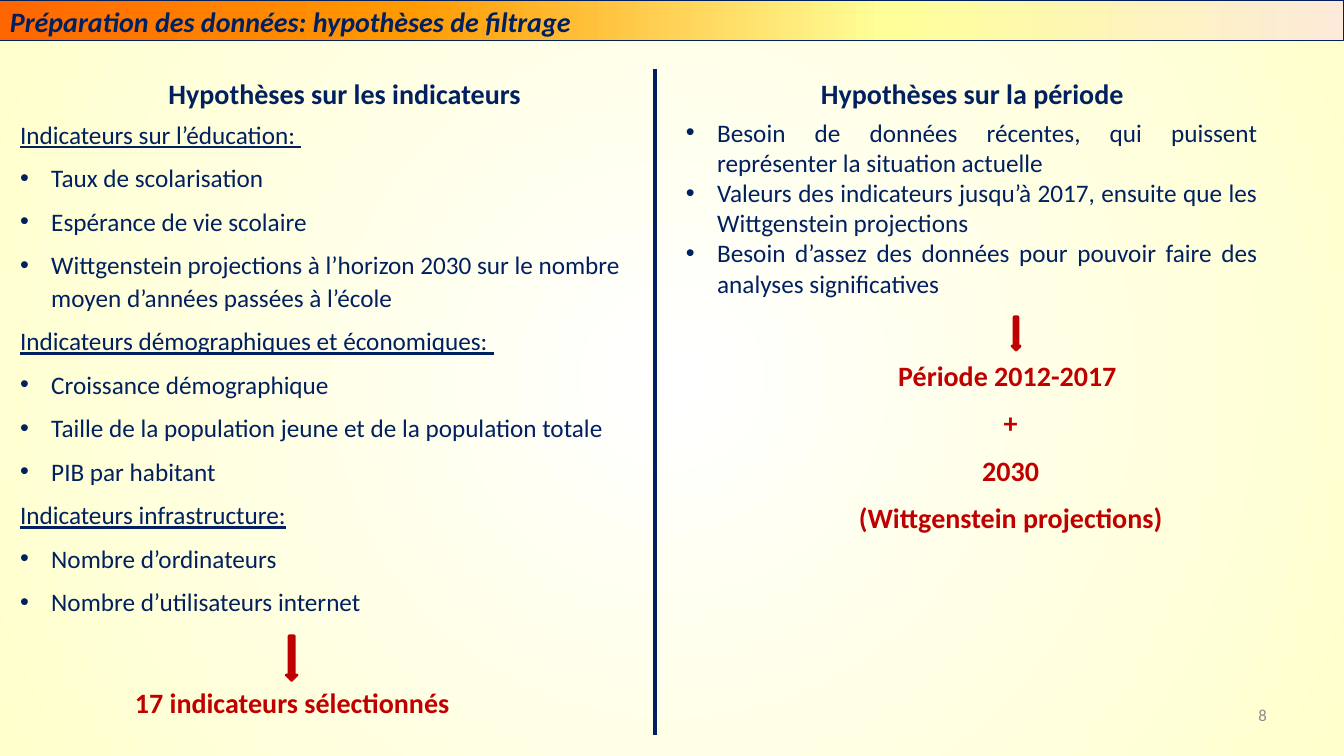
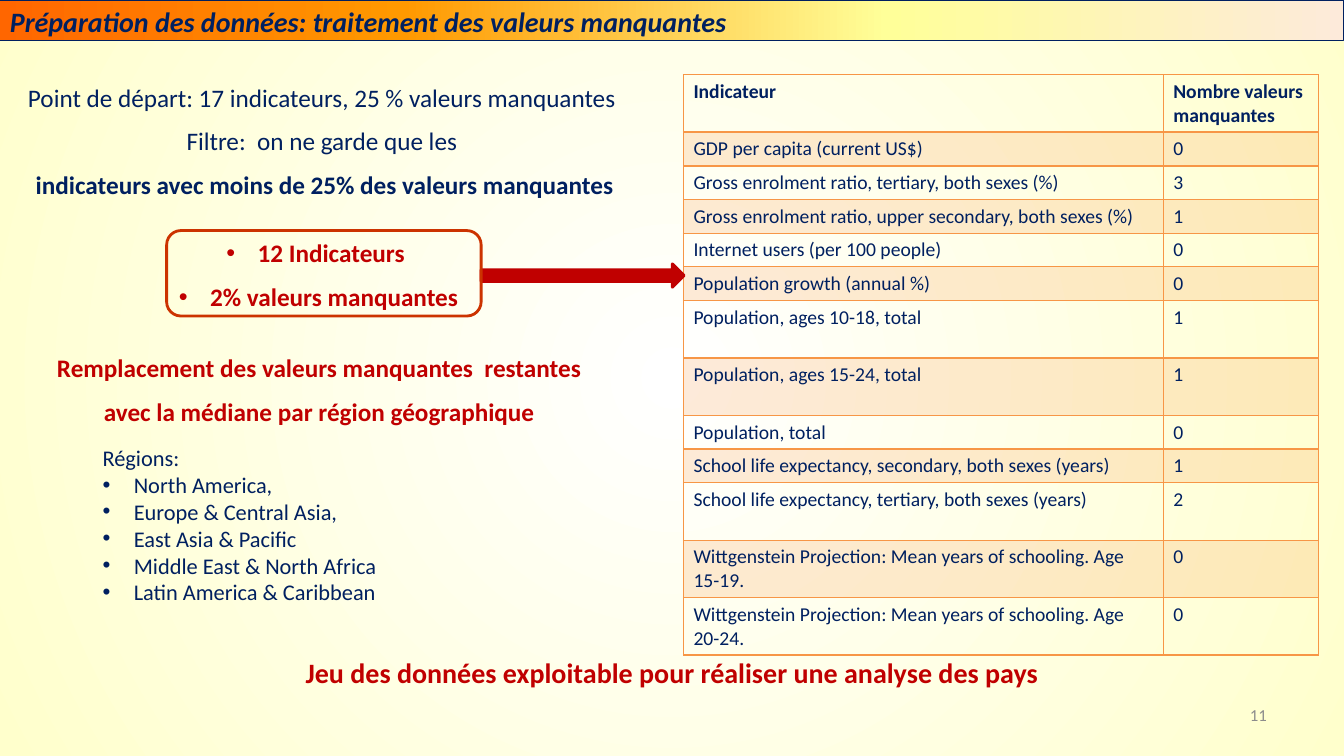
from lxml import etree
from pptx import Presentation
from pptx.dml.color import RGBColor
from pptx.enum.shapes import MSO_CONNECTOR, MSO_SHAPE
from pptx.enum.text import MSO_ANCHOR, PP_ALIGN
from pptx.oxml.ns import qn
from pptx.util import Inches, Pt

LEFT, CENTER, RIGHT = PP_ALIGN.LEFT, PP_ALIGN.CENTER, PP_ALIGN.RIGHT
JUSTIFY = PP_ALIGN.JUSTIFY
TOP, MIDDLE = MSO_ANCHOR.TOP, MSO_ANCHOR.MIDDLE
RECTANGLE, ROUNDED = MSO_SHAPE.RECTANGLE, MSO_SHAPE.ROUNDED_RECTANGLE
DOWN_ARROW, RIGHT_ARROW = MSO_SHAPE.DOWN_ARROW, MSO_SHAPE.RIGHT_ARROW
STRAIGHT = MSO_CONNECTOR.STRAIGHT

FONT = "Calibri"
COLORS = {
    "navy": "002060",
    "red": "C00000",
    "frame": "CC3300",
    "table": "F79646",
    "gray": "8C8C8C",
}
BACKGROUND_STOPS = [(0, "FFFFFF"), (100, "FFFFCC")]
BAND_STOPS = [(0, "FF6600"), (30, "FF9900"), (66, "FFFF99"), (100, "FDEADA")]

# Lengths are percentages of the slide's width and height
SLIDE_WIDTH, SLIDE_HEIGHT = Inches(13.33), Inches(7.5)
BAND_HEIGHT = 5.4
HALF = 50.3
LINE_ROW = 6
SHORT_ROW, TALL_ROW = 4.4, 7.6
TABLE_COLUMNS = (35.7, 11.55)
BULLET_INDENT = Inches(0.31)
LOOSE = {"line_spacing": 1.07, "space_after": 8}

INDICATORS = [
    ("Indicateurs sur l’éducation: ", [
        "Taux de scolarisation",
        "Espérance de vie scolaire",
        "Wittgenstein projections à l’horizon 2030 sur le nombre moyen "
        "d’années passées à l’école",
    ]),
    ("Indicateurs démographiques et économiques: ", [
        "Croissance démographique",
        "Taille de la population jeune et de la population totale",
        "PIB par habitant",
    ]),
    ("Indicateurs infrastructure:", [
        "Nombre d’ordinateurs",
        "Nombre d’utilisateurs internet",
    ]),
]
PERIOD_NEEDS = [
    "Besoin de données récentes, qui puissent représenter la situation actuelle",
    "Valeurs des indicateurs jusqu’à 2017, ensuite que les Wittgenstein projections",
    "Besoin d’assez des données pour pouvoir faire des analyses significatives",
]
REGIONS = [
    "North America,",
    "Europe & Central Asia,",
    "East Asia & Pacific",
    "Middle East & North Africa",
    "Latin America & Caribbean",
]
MISSING_VALUES = [
    ("Indicateur", "Nombre valeurs manquantes", TALL_ROW),
    ("GDP per capita (current US$)", "0", SHORT_ROW),
    ("Gross enrolment ratio, tertiary, both sexes (%)", "3", SHORT_ROW),
    ("Gross enrolment ratio, upper secondary, both sexes (%)", "1", SHORT_ROW),
    ("Internet users (per 100 people)", "0", SHORT_ROW),
    ("Population growth (annual %)", "0", SHORT_ROW),
    ("Population, ages 10-18, total", "1", TALL_ROW),
    ("Population, ages 15-24, total", "1", TALL_ROW),
    ("Population, total", "0", SHORT_ROW),
    ("School life expectancy, secondary, both sexes (years)", "1", SHORT_ROW),
    ("School life expectancy, tertiary, both sexes (years)", "2", TALL_ROW),
    ("Wittgenstein Projection: Mean years of schooling. Age 15-19.", "0", TALL_ROW),
    ("Wittgenstein Projection: Mean years of schooling. Age 20-24.", "0", TALL_ROW),
]


# Measures and colours
def across(share):
    return round(SLIDE_WIDTH * share / 100)


def down(share):
    return round(SLIDE_HEIGHT * share / 100)


def place(left, top, width, height):
    return across(left), down(top), across(width), down(height)


def rgb(name):
    return RGBColor.from_string(COLORS[name])


def child(parent, tag, **attributes):
    element = etree.SubElement(parent, qn(tag))
    for name, value in attributes.items():
        element.set(name, str(value))
    return element


def set_gradient(fill, owner, stops, radial=False):
    """Replace the fill held in the owner's XML by a gradient."""
    fill.solid()
    solid = next(owner.iter(qn("a:solidFill")))
    gradient = etree.Element(qn("a:gradFill"), rotWithShape="1")
    stop_list = child(gradient, "a:gsLst")
    for position, color in stops:
        stop = child(stop_list, "a:gs", pos=position * 1000)
        child(stop, "a:srgbClr", val=color)
    if radial:
        path = child(gradient, "a:path", path="circle")
        child(path, "a:fillToRect", l=50000, t=50000, r=50000, b=50000)
    else:
        child(gradient, "a:lin", ang=0, scaled=1)
    solid.getparent().replace(solid, gradient)


# Text
def style(paragraph, size, color="navy", bold=False, underline=False):
    font = paragraph.font
    font.name, font.size, font.bold = FONT, Pt(size), bold
    font.underline = underline
    font.color.rgb = rgb(color)


def add_bullet(paragraph):
    properties = paragraph._p.get_or_add_pPr()
    properties.set("marL", str(BULLET_INDENT))
    properties.set("indent", str(-BULLET_INDENT))
    bullet_font = etree.Element(qn("a:buFont"), typeface="Arial")
    bullet = etree.Element(qn("a:buChar"), char="•")
    run_defaults = properties.find(qn("a:defRPr"))
    run_defaults.addprevious(bullet_font)
    run_defaults.addprevious(bullet)


def add_text(slide, box, lines, size, color="navy", align=LEFT, anchor=TOP,
             line_spacing=None, space_after=0):
    """Each line is a string or a (string, options) pair."""
    frame = slide.shapes.add_textbox(*place(*box)).text_frame
    frame.word_wrap = True
    frame.vertical_anchor = anchor
    for index, line in enumerate(lines):
        text, options = (line, {}) if isinstance(line, str) else line
        paragraph = frame.add_paragraph() if index else frame.paragraphs[0]
        paragraph.text = text
        paragraph.alignment = align
        paragraph.line_spacing = line_spacing
        paragraph.space_after = Pt(space_after)
        style(paragraph, size, color, options.get("bold", False),
              options.get("underline", False))
        if options.get("bullet"):
            add_bullet(paragraph)


def bullets(texts, **options):
    return [(text, {"bullet": True, **options}) for text in texts]


def bold(*texts):
    return [(text, {"bold": True}) for text in texts]


def add_centered(slide, box, lines, size=20, color="red"):
    add_text(slide, box, lines, size, color, CENTER, **LOOSE)


# Shapes
def add_shape(slide, kind, box, line, width, fill=None):
    shape = slide.shapes.add_shape(kind, *place(*box))
    shape.shadow.inherit = False
    shape.line.color.rgb = rgb(line)
    shape.line.width = Pt(width)
    if fill:
        shape.fill.solid()
        shape.fill.fore_color.rgb = rgb(fill)
    else:
        shape.fill.background()
    return shape


def add_arrow(slide, kind, box):
    add_shape(slide, kind, box, "red", 2, "red")


def add_divider(slide, left, top, bottom):
    line = slide.shapes.add_connector(
        STRAIGHT, across(left), down(top), across(left), down(bottom))
    line.line.color.rgb = rgb("navy")
    line.line.width = Pt(3)
    child(line._element.spPr, "a:effectLst")


# Table
def set_borders(cell, header):
    properties = cell._tc.get_or_add_tcPr()
    for index, side in enumerate(("a:lnL", "a:lnR", "a:lnT", "a:lnB")):
        width = Pt(2) if header and side == "a:lnB" else Pt(1)
        border = etree.Element(qn(side), w=str(width))
        child(child(border, "a:solidFill"), "a:srgbClr", val=COLORS["table"])
        properties.insert(index, border)


def set_cell(cell, text, header, shaded):
    cell.text = text
    style(cell.text_frame.paragraphs[0], 14, bold=header)
    if shaded:
        cell.fill.solid()
        cell.fill.fore_color.rgb = rgb("table")
        color = next(cell._tc.tcPr.iter(qn("a:srgbClr")))
        child(color, "a:alpha", val=20000)
    else:
        cell.fill.background()
    set_borders(cell, header)


def add_missing_values_table(slide, left, top):
    height = sum(row[-1] for row in MISSING_VALUES)
    box = place(left, top, sum(TABLE_COLUMNS), height)
    table = slide.shapes.add_table(
        len(MISSING_VALUES), len(TABLE_COLUMNS), *box).table
    table.first_row = table.horz_banding = False
    for column, width in zip(table.columns, TABLE_COLUMNS):
        column.width = across(width)
    for index, (*texts, row_height) in enumerate(MISSING_VALUES):
        table.rows[index].height = down(row_height)
        for cell, text in zip(table.rows[index].cells, texts):
            set_cell(cell, text, index == 0, index % 2 == 1)


# Slides
def add_slide(presentation, title, number):
    slide = presentation.slides.add_slide(presentation.slide_layouts[6])
    add_text(slide, (71.7, 91.9, 23.3, 5.3), [number], 12, "gray", RIGHT, MIDDLE)
    band = add_shape(slide, RECTANGLE, (0, 0, 100, BAND_HEIGHT), "navy", 0.75)
    set_gradient(band.fill, band._element.spPr, BAND_STOPS)
    frame = band.text_frame
    frame.vertical_anchor = TOP
    frame.margin_top = Inches(0.07)
    paragraph = frame.paragraphs[0]
    paragraph.text = title
    paragraph.alignment = LEFT
    paragraph.line_spacing = 0.95
    style(paragraph, 20, bold=True)
    paragraph.font.italic = True
    return slide


def build_filter_slide(presentation):
    slide = add_slide(
        presentation, "Préparation des données: hypothèses de filtrage", "8")
    add_divider(slide, 48.75, 9.1, 97.2)

    # Indicators
    add_centered(slide, (0.5, 9.1, HALF, LINE_ROW),
                 bold("Hypothèses sur les indicateurs"), color="navy")
    lines = []
    for heading, items in INDICATORS:
        lines += [(heading, {"underline": True}), *bullets(items)]
    add_text(slide, (0.75, 14.8, HALF, 69), lines, 18, **LOOSE)
    add_arrow(slide, DOWN_ARROW, (21.3, 84.1, 0.8, 5.9))
    add_centered(slide, (0.75, 89.7, 42, LINE_ROW),
                 bold("17 indicateurs sélectionnés"))

    # Period
    add_centered(slide, (47.2, 9.1, HALF, LINE_ROW),
                 bold("Hypothèses sur la période"), color="navy")
    add_text(slide, (50.3, 14.8, 44, 26), bullets(PERIOD_NEEDS), 18, align=JUSTIFY)
    add_arrow(slide, DOWN_ARROW, (75.3, 41.9, 0.6, 4.4))
    add_centered(slide, (59.1, 46.5, 32.2, 24.8), bold(
        "Période 2012-2017 ", "+", "2030", "(Wittgenstein projections)"))


def build_missing_values_slide(presentation):
    slide = add_slide(
        presentation,
        "Préparation des données: traitement des valeurs manquantes", "11")

    # Filter and its result
    add_centered(slide, (-1.2, 9.9, HALF, 17.1), [
        "Point de départ: 17 indicateurs, 25 % valeurs manquantes",
        "Filtre:  on ne garde que les",
        *bold(" indicateurs avec moins de 25% des valeurs manquantes"),
    ], 18, "navy")
    add_missing_values_table(slide, 50.85, 9.9)
    add_arrow(slide, RIGHT_ARROW, (35.8, 34.9, 15.1, 3.1))
    add_shape(slide, ROUNDED, (12.4, 30.5, 23.4, 11.3), "frame", 2)
    add_centered(slide, (12.4, 30.5, 22.6, 11.3), bullets(
        ["12 Indicateurs ", "2% valeurs manquantes"], bold=True), 18)

    # Replacement by region
    add_centered(slide, (-1.4, 45.7, HALF, 11.3), bold(
        "Remplacement des valeurs manquantes  restantes",
        "avec la médiane par région géographique"), 18)
    add_text(slide, (6.9, 58.1, 33.6, 22.9), ["Régions:", *bullets(REGIONS)], 16)
    add_centered(slide, (19.3, 85.7, 61.4, LINE_ROW), bold(
        "Jeu des données exploitable pour réaliser une analyse des pays"))


def main():
    presentation = Presentation()
    presentation.slide_width, presentation.slide_height = SLIDE_WIDTH, SLIDE_HEIGHT
    master = presentation.slide_master
    set_gradient(master.background.fill, master.element.cSld.bg,
                 BACKGROUND_STOPS, radial=True)
    build_filter_slide(presentation)
    build_missing_values_slide(presentation)
    presentation.save("out.pptx")


if __name__ == "__main__":
    main()
